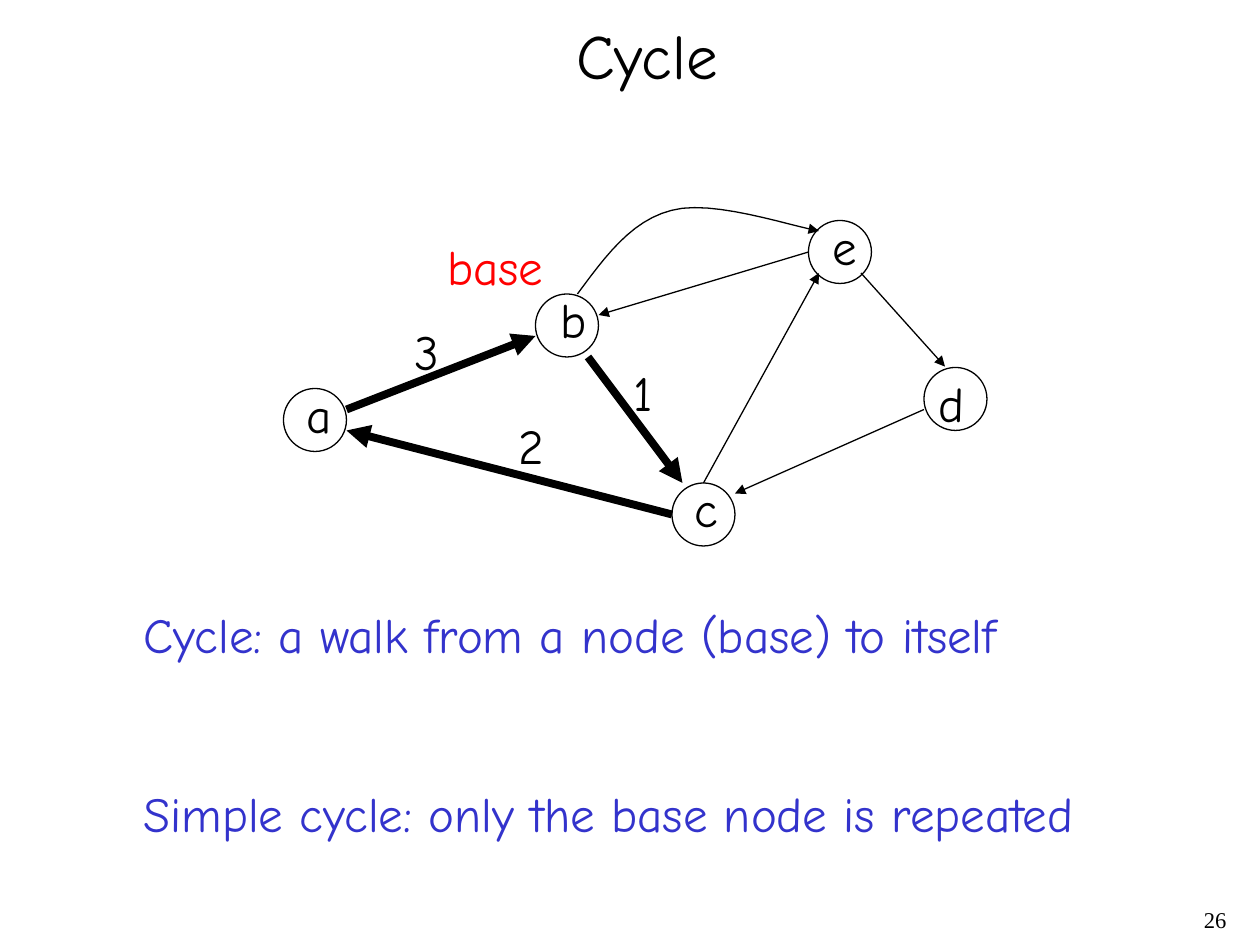
from dataclasses import dataclass

from lxml import etree
from pptx import Presentation
from pptx.dml.color import RGBColor
from pptx.enum.shapes import MSO_CONNECTOR, MSO_SHAPE
from pptx.enum.text import MSO_ANCHOR, MSO_AUTO_SIZE, PP_ALIGN
from pptx.oxml.ns import qn
from pptx.util import Pt

STRAIGHT = MSO_CONNECTOR.STRAIGHT
OVAL = MSO_SHAPE.OVAL
TOP = MSO_ANCHOR.TOP
NO_FIT = MSO_AUTO_SIZE.NONE
LEFT, RIGHT = PP_ALIGN.LEFT, PP_ALIGN.RIGHT
TITLE_ONLY = 5


@dataclass(frozen=True)
class Theme:
    font: str = "Comic Neue"
    number_font: str = "Times New Roman"
    ink: RGBColor = RGBColor(0, 0, 0)
    base: RGBColor = RGBColor(0xFF, 0, 0)
    definition: RGBColor = RGBColor(0x33, 0x33, 0xCC)
    title_size: float = 36
    text_size: float = 28
    number_size: float = 12.9
    thin: float = 0.75
    thick: float = 4.5


THEME = Theme()
NODE_SIZE = 36
LABEL_HEIGHT = 41

# Node: circle left and top, label left, top and width
NODES = {
    "a": ((162, 222), (168, 216, 28.8)),
    "b": ((306, 168), (313.2, 162, 29.5)),
    "c": ((384, 276), (390, 270, 27.4)),
    "d": ((528, 210), (529.2, 210, 28.8)),
    "e": ((462, 126), (468.7, 120.2, 28.1)),
}

# Edge: start, end, line weight
EDGES = [
    ((198, 234), (306, 192), THEME.thick),   # a to b
    ((336, 204), (390, 276), THEME.thick),   # b to c
    ((384, 294), (198, 246), THEME.thick),   # c to a
    ((402, 276), (468, 156), THEME.thin),    # c to e
    ((528, 234), (420, 282), THEME.thin),    # d to c
    ((492, 156), (540, 209.5), THEME.thin),  # e to d
    ((462, 144), (342, 180), THEME.thin),    # e to b
]

# Bezier segments of the bent edge from b to e
BEND = [
    ((330, 168), (345.6, 146.9), (360.7, 126), (383.8, 120.2)),
    ((383.8, 120.2), (406.8, 113.8), (450.7, 128.9), (468, 132)),
]

STEPS = {"1": (355, 203.8, 25.2), "2": (289.4, 234, 28.8), "3": (229.7, 180, 28.1)}

DEFINITIONS = [
    "Cycle: a walk from a node (base) to itself",
    "Simple cycle: only the base node is repeated",
]


def write(shape, lines, size, color=THEME.ink, font=THEME.font, align=LEFT, gap=0):
    frame = shape.text_frame
    frame.text = "\n".join(lines)
    frame.word_wrap = False
    frame.auto_size = NO_FIT
    frame.vertical_anchor = TOP
    for index, paragraph in enumerate(frame.paragraphs):
        paragraph.alignment = align
        paragraph.space_before = Pt(gap if index else 0)
        paragraph.font.name = font
        paragraph.font.size = Pt(size)
        paragraph.font.color.rgb = color
    return frame


def add_text(slide, box, lines, size=THEME.text_size, **style):
    return write(slide.shapes.add_textbox(*map(Pt, box)), lines, size, **style)


def add_label(slide, place, text, **style):
    add_text(slide, (*place, LABEL_HEIGHT), [text], **style)


def add_title(slide, text):
    title = slide.shapes.title
    title.left, title.top, title.width, title.height = map(Pt, (322, 6, 95.8, 50.4))
    write(title, [text], THEME.title_size)


def add_circle(slide, corner):
    circle = slide.shapes.add_shape(OVAL, *map(Pt, (*corner, NODE_SIZE, NODE_SIZE)))
    circle.shadow.inherit = False
    circle.fill.background()
    draw_line(circle, THEME.thin)


def draw_line(shape, weight):
    shape.line.color.rgb = THEME.ink
    shape.line.width = Pt(weight)


def add_arrowhead(shape):
    etree.SubElement(shape.line._get_or_add_ln(), qn("a:tailEnd"), type="triangle")


def add_edge(slide, start, end, weight):
    edge = slide.shapes.add_connector(STRAIGHT, *map(Pt, (*start, *end)))
    draw_line(edge, weight)
    add_arrowhead(edge)
    etree.SubElement(edge._element.spPr, qn("a:effectLst"))


def bezier_point(segment, t):
    weights = ((1 - t) ** 3, 3 * t * (1 - t) ** 2, 3 * t * t * (1 - t), t ** 3)
    return tuple(Pt(sum(w * point[axis] for w, point in zip(weights, segment)))
                 for axis in (0, 1))


def add_bent_edge(slide, segments, steps=12):
    points = [bezier_point(segment, step / steps)
              for segment in segments for step in range(1, steps + 1)]
    builder = slide.shapes.build_freeform(*bezier_point(segments[0], 0))
    builder.add_line_segments(points, close=False)
    bend = builder.convert_to_shape()
    bend.shadow.inherit = False
    bend.fill.background()
    draw_line(bend, THEME.thin)
    add_arrowhead(bend)


def main():
    deck = Presentation()
    deck.slide_width, deck.slide_height = Pt(720), Pt(540)
    slide = deck.slides.add_slide(deck.slide_layouts[TITLE_ONLY])
    add_title(slide, "Cycle")

    # Graph
    for corner, _ in NODES.values():
        add_circle(slide, corner)
    for start, end, weight in EDGES:
        add_edge(slide, start, end, weight)
    add_bent_edge(slide, BEND)

    # Node names, step numbers and base mark
    for name, (_, place) in NODES.items():
        add_label(slide, place, name)
    for number, place in STEPS.items():
        add_label(slide, place, number)
    add_label(slide, (248.4, 131.8, 69), "base", color=THEME.base)

    # Definitions
    add_text(slide, (75, 342, 556.6, 143.3), DEFINITIONS,
             color=THEME.definition, gap=68.7)

    # Slide number
    number = add_text(slide, (558, 516.2, 149.8, 23.8), ["26"], THEME.number_size,
                      font=THEME.number_font, align=RIGHT)
    number.word_wrap = True
    number.paragraphs[0].line_spacing = 0.9

    deck.save("out.pptx")


if __name__ == "__main__":
    main()
